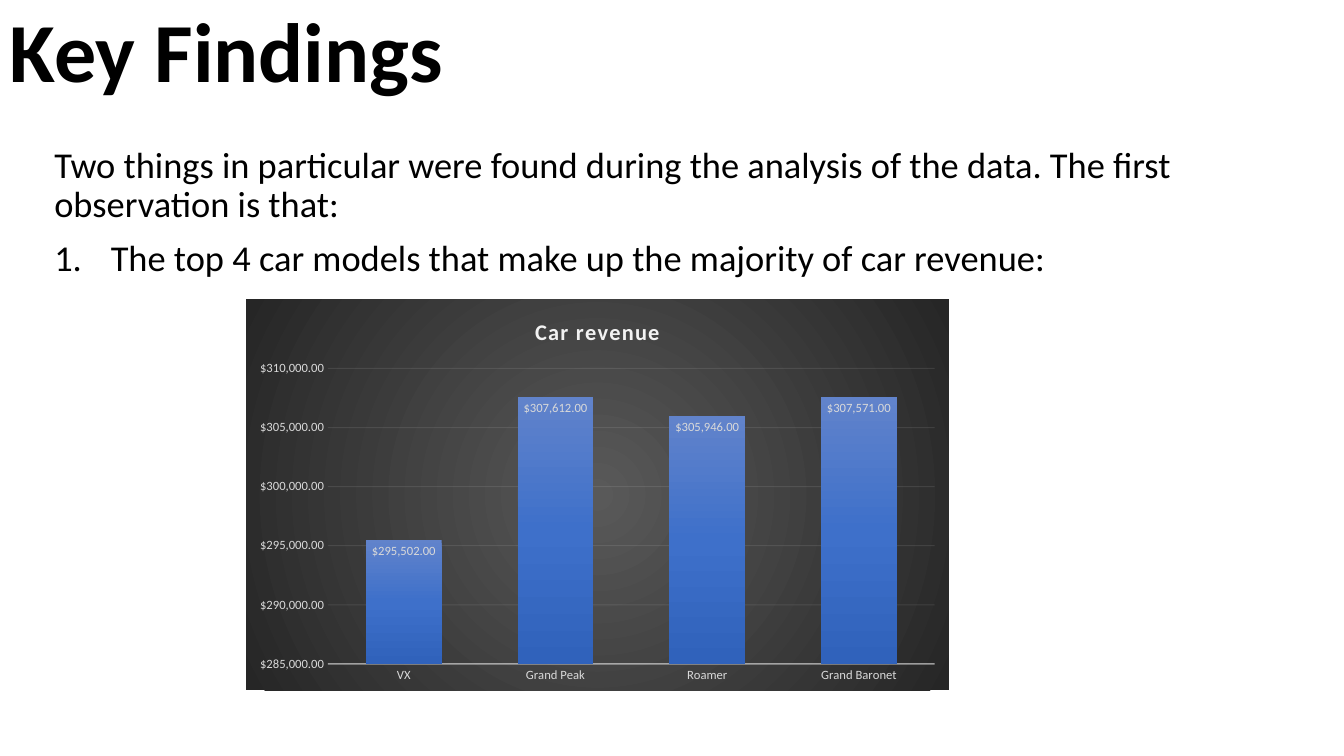
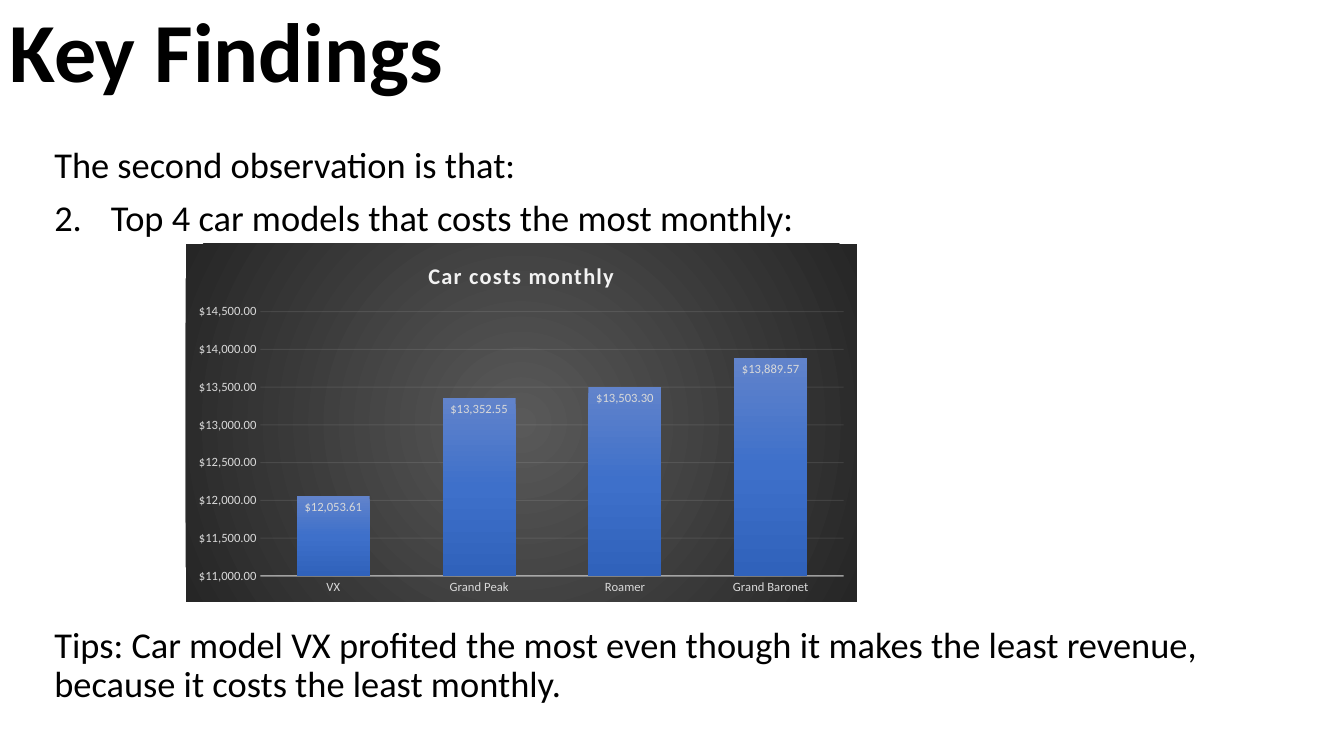
import dataclasses
from typing import Optional

import lxml.etree
import pptx
import pptx.chart.axis
import pptx.chart.chart
import pptx.chart.data
import pptx.dml.color
import pptx.enum.chart
import pptx.enum.text
import pptx.oxml
import pptx.oxml.ns
import pptx.slide
import pptx.text.text
import pptx.util

Inches = pptx.util.Inches
Pt = pptx.util.Pt
RGBColor = pptx.dml.color.RGBColor

BLACK = RGBColor(0x00, 0x00, 0x00)
PALE = RGBColor(0xF2, 0xF2, 0xF2)
LABEL_GREY = RGBColor(0xD9, 0xD9, 0xD9)
PANEL_CENTRE = RGBColor(0x59, 0x59, 0x59)
PANEL_EDGE = RGBColor(0x26, 0x26, 0x26)
BAR_TOP = RGBColor(0x61, 0x83, 0xCB)
BAR_MIDDLE = RGBColor(0x3E, 0x70, 0xCA)
BAR_BOTTOM = RGBColor(0x30, 0x62, 0xBB)

FONT = "Calibri"
MONEY = '"$"#,##0.00'
MODELS = ("VX", "Grand Peak", "Roamer", "Grand Baronet")
HEADING = "Key Findings"
BODY_LEFT, BODY_WIDTH = 0.44, 12.72
HANGING = Inches(0.56)

RADIAL = (
    '<a:path path="circle"><a:fillToRect l="50000" t="50000" r="50000" b="50000"/></a:path>'
)
DOWNWARD = '<a:lin ang="5400000" scaled="0"/>'


@dataclasses.dataclass(frozen=True)
class CostChart:
    title: str
    values: tuple[float, ...]
    left: float
    top: float
    width: float
    height: float
    minimum: float
    maximum: float
    step: float


@dataclasses.dataclass(frozen=True)
class Finding:
    intro: str
    number: int
    statement: str
    chart: CostChart
    tip: Optional[str] = None


FINDINGS = (
    Finding(
        "Two things in particular were found during the analysis of the data. "
        "The first observation is that:",
        1,
        "The top 4 car models that make up the majority of car revenue:",
        CostChart("Car revenue", (295502, 307612, 305946, 307571),
                  2.44, 2.97, 6.97, 3.88, 285000, 310000, 5000),
    ),
    Finding(
        "The second observation is that:",
        2,
        "Top 4 car models that costs the most monthly:",
        CostChart("Car costs monthly", (12053.61, 13352.55, 13503.30, 13889.57),
                  1.84, 2.42, 6.66, 3.55, 11000, 14500, 500),
        f"Tips: Car model {MODELS[0]} profited the most even though it makes the least "
        "revenue, because it costs the least monthly.",
    ),
)


def style_font(font: pptx.text.text.Font, size: float, color: RGBColor,
               bold: bool = False) -> None:
    font.name = FONT
    font.size = Pt(size)
    font.bold = bold
    font.color.rgb = color


def add_text_frame(slide: pptx.slide.Slide, left: float, top: float, width: float,
                   height: float) -> pptx.text.text.TextFrame:
    frame = slide.shapes.add_textbox(
        Inches(left), Inches(top), Inches(width), Inches(height)).text_frame
    frame.word_wrap = True
    return frame


def write_paragraph(paragraph: pptx.text.text._Paragraph, text: str, size: float = 26,
                    bold: bool = False, number: Optional[int] = None) -> None:
    paragraph.line_spacing = 0.9
    paragraph.space_before = Pt(10)
    run = paragraph.add_run()
    run.text = text
    style_font(run.font, size, BLACK, bold)
    if number is not None:
        properties = paragraph._p.get_or_add_pPr()
        properties.set("marL", str(HANGING))
        properties.set("indent", str(-HANGING))
        bullet = lxml.etree.SubElement(properties, pptx.oxml.ns.qn("a:buAutoNum"))
        bullet.set("type", "arabicPeriod")
        bullet.set("startAt", str(number))


def gradient(colors: tuple[RGBColor, ...], direction: str) -> lxml.etree._Element:
    """Return a gradient fill with evenly spaced stops."""
    stops = "".join(
        f'<a:gs pos="{100000 * i // (len(colors) - 1)}"><a:srgbClr val="{color}"/></a:gs>'
        for i, color in enumerate(colors))
    return pptx.oxml.parse_xml(
        f'<a:gradFill {pptx.oxml.ns.nsdecls("a")} rotWithShape="1">'
        f"<a:gsLst>{stops}</a:gsLst>{direction}</a:gradFill>")


def fill_panel(chart: pptx.chart.chart.Chart) -> None:
    panel = pptx.oxml.parse_xml(
        f'<c:spPr {pptx.oxml.ns.nsdecls("c", "a")}><a:ln><a:noFill/></a:ln></c:spPr>')
    panel.insert(0, gradient((PANEL_CENTRE, PANEL_EDGE), RADIAL))
    chart.element.xpath("c:txPr")[0].addprevious(panel)


def set_opacity(chart: pptx.chart.chart.Chart, line_owner: str, percent: int) -> None:
    for color in chart.element.xpath(f".//{line_owner}/c:spPr/a:ln//a:srgbClr"):
        alpha = lxml.etree.SubElement(color, pptx.oxml.ns.qn("a:alpha"))
        alpha.set("val", str(percent * 1000))


def style_axis(axis: pptx.chart.axis._BaseAxis) -> None:
    axis.major_tick_mark = pptx.enum.chart.XL_TICK_MARK.NONE
    axis.minor_tick_mark = pptx.enum.chart.XL_TICK_MARK.NONE
    style_font(axis.tick_labels.font, 9, LABEL_GREY)


def add_cost_chart(slide: pptx.slide.Slide, content: CostChart) -> None:
    data = pptx.chart.data.CategoryChartData(number_format=MONEY)
    data.categories = MODELS
    data.add_series("Series 1", content.values)
    chart = slide.shapes.add_chart(
        pptx.enum.chart.XL_CHART_TYPE.COLUMN_CLUSTERED,
        Inches(content.left), Inches(content.top),
        Inches(content.width), Inches(content.height), data).chart
    chart.has_legend = False
    style_font(chart.font, 10, BLACK)
    fill_panel(chart)

    title = chart.chart_title.text_frame.paragraphs[0].add_run()
    title.text = content.title
    style_font(title.font, 16, PALE, bold=True)
    title._r.get_or_add_rPr().set("spc", "100")

    models, money = chart.category_axis, chart.value_axis
    style_axis(models)
    models.format.line.color.rgb = PALE
    models.format.line.width = Pt(1)
    set_opacity(chart, "c:catAx", 54)

    style_axis(money)
    money.minimum_scale = content.minimum
    money.maximum_scale = content.maximum
    money.major_unit = content.step
    money.tick_labels.number_format = MONEY
    money.tick_labels.number_format_is_linked = False
    money.format.line.fill.background()
    money.major_gridlines.format.line.color.rgb = PALE
    money.major_gridlines.format.line.width = Pt(0.75)
    set_opacity(chart, "c:majorGridlines", 10)

    plot = chart.plots[0]
    plot.gap_width = 100
    plot.overlap = -24
    plot.vary_by_categories = False
    plot.series[0].format.fill.solid()
    bar_fill = chart.element.xpath(".//c:ser/c:spPr/a:solidFill")[0]
    bar_fill.getparent().replace(
        bar_fill, gradient((BAR_TOP, BAR_MIDDLE, BAR_BOTTOM), DOWNWARD))

    labels = plot.series[0].data_labels
    labels.show_value = True
    labels.position = pptx.enum.chart.XL_LABEL_POSITION.INSIDE_END
    labels.number_format = MONEY
    labels.number_format_is_linked = False
    style_font(labels.font, 9, LABEL_GREY)


def add_finding(deck: pptx.presentation.Presentation, finding: Finding) -> None:
    slide = deck.slides.add_slide(deck.slide_layouts[6])
    heading = add_text_frame(slide, 0, 0, 10, 1.05)
    heading.vertical_anchor = pptx.enum.text.MSO_ANCHOR.BOTTOM
    write_paragraph(heading.paragraphs[0], HEADING, 60, bold=True)
    heading.paragraphs[0].space_before = Pt(0)

    body = add_text_frame(slide, BODY_LEFT, 1.41, BODY_WIDTH, 1.5)
    write_paragraph(body.paragraphs[0], finding.intro)
    write_paragraph(body.add_paragraph(), finding.statement, number=finding.number)
    add_cost_chart(slide, finding.chart)
    if finding.tip:
        tip = add_text_frame(slide, BODY_LEFT, 6.17, BODY_WIDTH, 0.91)
        write_paragraph(tip.paragraphs[0], finding.tip)


def main() -> None:
    deck = pptx.Presentation()
    deck.slide_width = Inches(13.33)
    deck.slide_height = Inches(7.5)
    for finding in FINDINGS:
        add_finding(deck, finding)
    deck.save("out.pptx")


if __name__ == "__main__":
    main()
